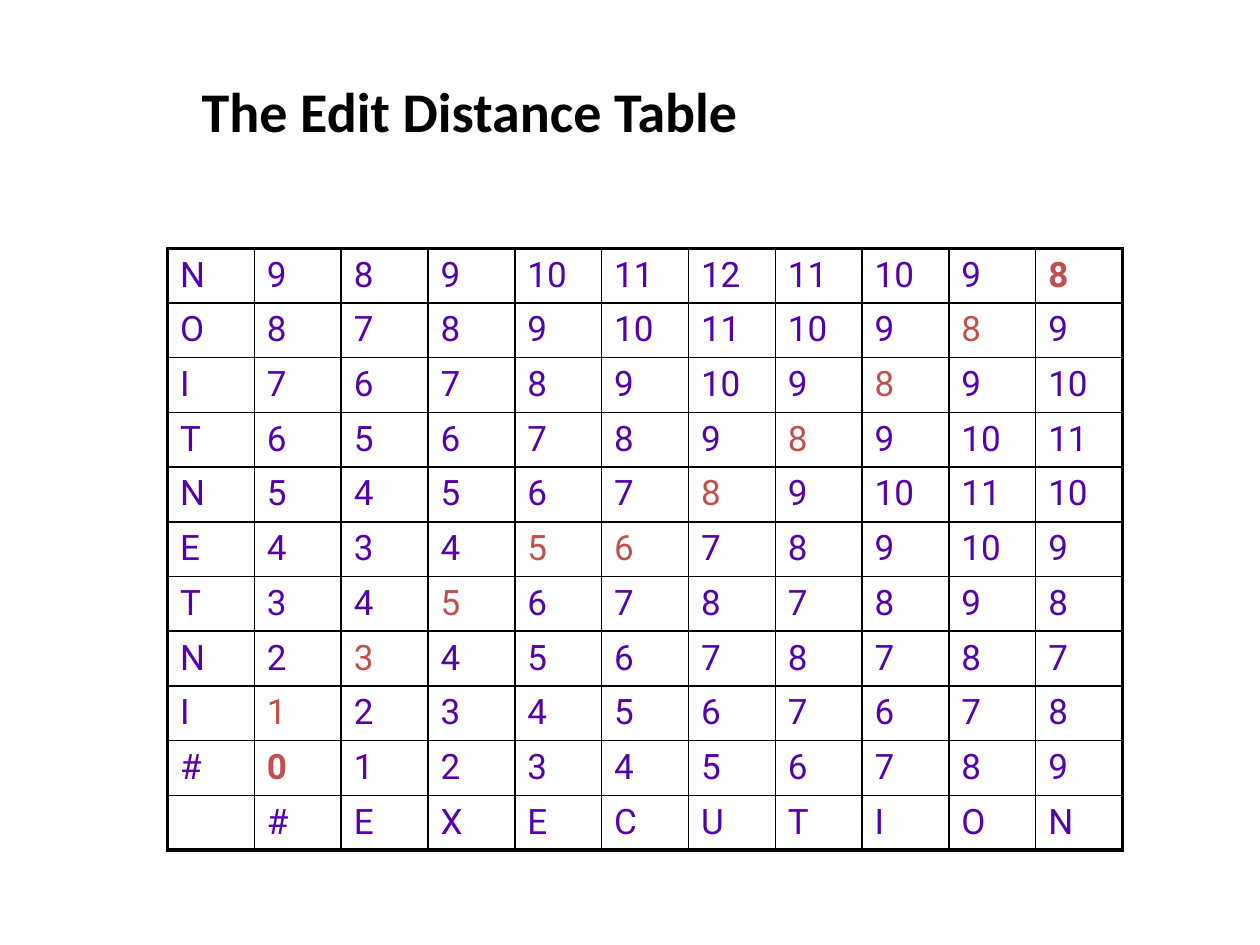
from dataclasses import dataclass

from lxml.etree import SubElement
from pptx import Presentation
from pptx.dml.color import RGBColor as RGB
from pptx.enum.text import MSO_ANCHOR as ANCHOR, PP_ALIGN as ALIGN
from pptx.oxml.ns import qn
from pptx.util import Inches, Pt


@dataclass(frozen=True)
class Theme:
    """Colours, fonts and sizes of the slide."""
    black: str = "000000"
    text: str = "5400A8"
    path_color: str = "C0504D"
    title_font: str = "Calibri"
    cell_font: str = "Roboto"
    title_size: float = 32
    cell_size: float = 20
    inner_line: float = 1
    outer_line: float = 2.25


THEME = Theme()
PATH_MARK = "*"
END_MARK = "!"
DISTANCES = [
    "N 9 8 9 10 11 12 11 10 9 8!",
    "O 8 7 8 9 10 11 10 9 8* 9",
    "I 7 6 7 8 9 10 9 8* 9 10",
    "T 6 5 6 7 8 9 8* 9 10 11",
    "N 5 4 5 6 7 8* 9 10 11 10",
    "E 4 3 4 5* 6* 7 8 9 10 9",
    "T 3 4 5* 6 7 8 7 8 9 8",
    "N 2 3* 4 5 6 7 8 7 8 7",
    "I 1* 2 3 4 5 6 7 6 7 8",
    "# 0! 1 2 3 4 5 6 7 8 9",
]
GRID = [row.split() for row in DISTANCES] + [["", *"#EXECUTION"]]


def write_text(tf, text, font, size, color, bold=False):
    """Write one left-aligned run at the top of a text frame."""
    p = tf.paragraphs[0]
    p.alignment = ALIGN.LEFT
    r = p.add_run()
    r.text = text
    r.font.name = font
    r.font.size = Pt(size)
    r.font.bold = bold
    r.font.color.rgb = RGB.from_string(color)


def set_borders(cell, outer_sides):
    """Draw the four cell borders, heavier on the outer sides."""
    tc_pr = cell._tc.get_or_add_tcPr()
    for i, side in enumerate(("lnL", "lnR", "lnT", "lnB")):
        width = THEME.outer_line if side in outer_sides else THEME.inner_line
        ln = SubElement(tc_pr, qn(f"a:{side}"), w=str(Pt(width)))
        fill = SubElement(ln, qn("a:solidFill"))
        SubElement(fill, qn("a:srgbClr"), val=THEME.black)
        tc_pr.remove(ln)
        tc_pr.insert(i, ln)


def add_title(slide, text):
    """Place and format the title placeholder."""
    sp = slide.shapes.title
    sp.left, sp.top = Inches(1.5), Inches(0.56)
    sp.width, sp.height = Inches(8.17), Inches(1.08)
    sp.text_frame.vertical_anchor = ANCHOR.TOP
    write_text(sp.text_frame, text, THEME.title_font, THEME.title_size,
               THEME.black, bold=True)


def add_distance_table(slide, grid):
    """Add the distance grid with its highlighted alignment path."""
    last_row, last_col = len(grid) - 1, len(grid[0]) - 1
    frame = slide.shapes.add_table(len(grid), len(grid[0]), Inches(1.33),
                                   Inches(1.97), Inches(7.58), Inches(4.78))
    table = frame.table
    table.first_row = table.horz_banding = False
    for i, row in enumerate(grid):
        for j, value in enumerate(row):
            cell = table.cell(i, j)
            cell.fill.background()
            cell.vertical_anchor = ANCHOR.TOP
            edges = {"lnL": j == 0, "lnR": j == last_col,
                     "lnT": i == 0, "lnB": i == last_row}
            set_borders(cell, [side for side, outer in edges.items() if outer])
            text = value.rstrip(PATH_MARK + END_MARK)
            if text:
                color = THEME.text if text == value else THEME.path_color
                write_text(cell.text_frame, text, THEME.cell_font,
                           THEME.cell_size, color,
                           bold=value.endswith(END_MARK))


def main():
    """Build and save the slide."""
    prs = Presentation()
    prs.slide_width, prs.slide_height = Inches(10), Inches(7.5)
    s = prs.slides.add_slide(prs.slide_layouts[5])
    add_distance_table(s, GRID)
    add_title(s, "The Edit Distance Table")
    prs.save("out.pptx")


if __name__ == "__main__":
    main()
